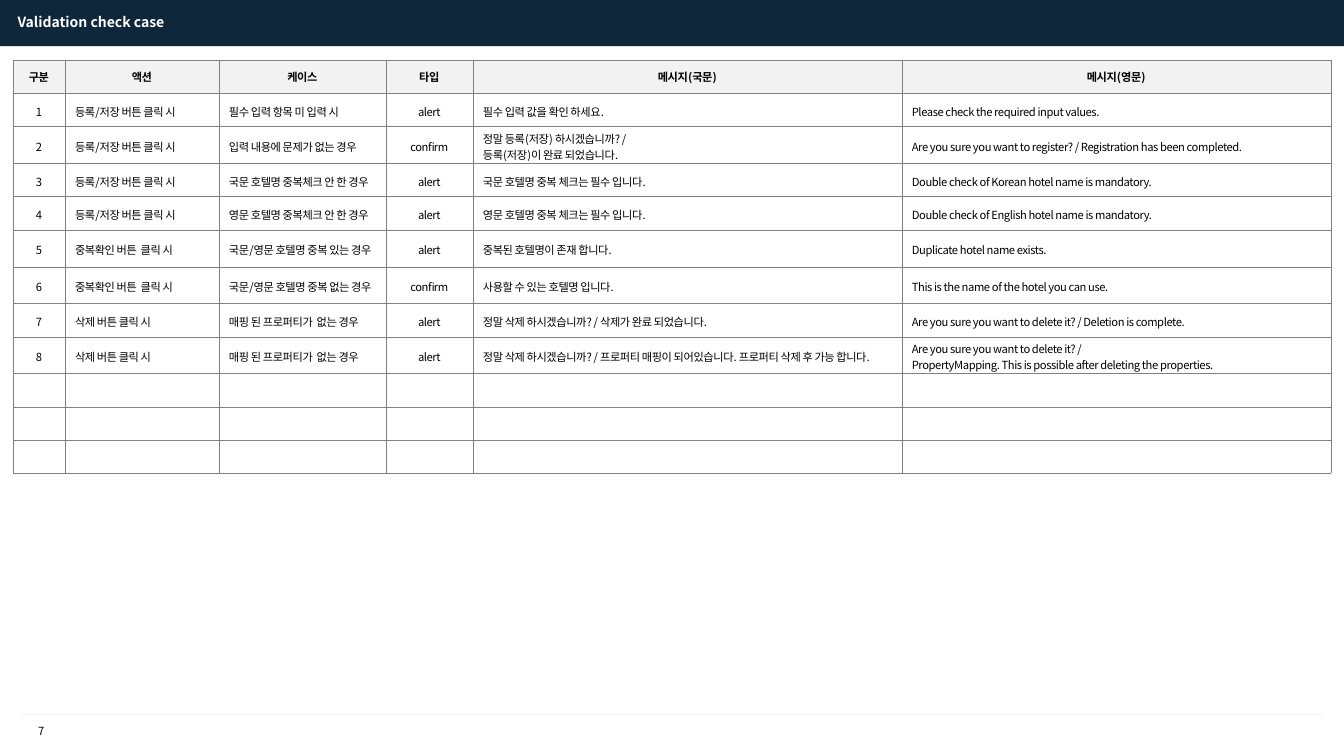
from dataclasses import dataclass
from lxml.etree import SubElement as Sub
from pptx import Presentation
from pptx.dml.color import RGBColor as RGB
from pptx.enum.shapes import MSO_CONNECTOR as Link, MSO_SHAPE as Shape
from pptx.enum.text import MSO_ANCHOR as Anchor, PP_ALIGN as Align
from pptx.oxml.ns import qn
from pptx.util import Pt


@dataclass
class Theme:
    font: str = "Noto Sans CJK KR"
    navy: str = "0E273B"
    black: str = "000000"
    white: str = "FFFFFF"
    pale: str = "F2F2F2"
    grid: str = "808080"
    body: int = 8
    head: int = 10


theme = Theme()
MID = Align.CENTER
LEFT = Align.LEFT


def style(frame, text, size=theme.body, color=theme.black, bold=False, align=LEFT, gap=0):
    """Fill a text frame; gap is letter spacing in hundredths of a point."""
    frame.text = text
    for para in frame.paragraphs:
        para.alignment = align
        font = para.font
        font.size, font.bold, font.name = Pt(size), bold, theme.font
        font.color.rgb = RGB.from_string(color)
        if gap:
            para._p.get_or_add_pPr().get_or_add_defRPr().set("spc", str(gap))


def label(left, top, width, height, text, side=7.2, wrap=True, **look):
    """Add a text box, centred vertically."""
    frame = slide.shapes.add_textbox(Pt(left), Pt(top), Pt(width), Pt(height)).text_frame
    frame.word_wrap = wrap
    frame.vertical_anchor = Anchor.MIDDLE
    frame.margin_left = frame.margin_right = Pt(side)
    frame.margin_top = frame.margin_bottom = Pt(2)
    style(frame, text, **look)


deck = Presentation()
deck.slide_width, deck.slide_height = Pt(960), Pt(540)
slide = deck.slides.add_slide(deck.slide_layouts[6])

# Header bar and footer
bar = slide.shapes.add_shape(Shape.RECTANGLE, 0, 0, Pt(960), Pt(33))
bar.shadow.inherit = False
bar.fill.solid()
bar.fill.fore_color.rgb = RGB.from_string(theme.navy)
bar.line.fill.background()

rule = slide.shapes.add_connector(Link.STRAIGHT, Pt(15), Pt(510.5), Pt(945), Pt(510.5))
rule.line.color.rgb = RGB.from_string(theme.pale)
rule.line.width = Pt(0.75)
Sub(rule._element.spPr, qn("a:effectLst"))

label(12.2, 513.3, 34.6, 17.3, "7", wrap=False, align=MID)
label(5.8, 5.8, 247.7, 19.4, "Validation check case", side=6.8,
      size=theme.head, color=theme.white, bold=True)

# Table of cases
save = "등록/저장 버튼 클릭 시"
check = "중복확인 버튼  클릭 시"
drop = "삭제 버튼 클릭 시"
free = "매핑 된 프로퍼티가  없는 경우"
rows = [
    ("구분", "액션", "케이스", "타입", "메시지(국문)", "메시지(영문)"),
    ("1", save, "필수 입력 항목 미 입력 시", "alert", "필수 입력 값을 확인 하세요.",
     "Please check the required input values."),
    ("2", save, "입력 내용에 문제가 없는 경우", "confirm",
     "정말 등록(저장) 하시겠습니까? /\n등록(저장)이 완료 되었습니다.",
     "Are you sure you want to register? / Registration has been completed."),
    ("3", save, "국문 호텔명 중복체크 안 한 경우", "alert", "국문 호텔명 중복 체크는 필수 입니다.",
     "Double check of Korean hotel name is mandatory."),
    ("4", save, "영문 호텔명 중복체크 안 한 경우", "alert", "영문 호텔명 중복 체크는 필수 입니다.",
     "Double check of English hotel name is mandatory."),
    ("5", check, "국문/영문 호텔명 중복 있는 경우", "alert", "중복된 호텔명이 존재 합니다.",
     "Duplicate hotel name exists."),
    ("6", check, "국문/영문 호텔명 중복 없는 경우", "confirm", "사용할 수 있는 호텔명 입니다.",
     "This is the name of the hotel you can use."),
    ("7", drop, free, "alert", "정말 삭제 하시겠습니까? / 삭제가 완료 되었습니다.",
     "Are you sure you want to delete it? / Deletion is complete."),
    ("8", drop, free, "alert",
     "정말 삭제 하시겠습니까? / 프로퍼티 매핑이 되어있습니다. 프로퍼티 삭제 후 가능 합니다.",
     "Are you sure you want to delete it? /\n"
     "PropertyMapping. This is possible after deleting the properties."),
] + [("",) * 6] * 3
widths = [37.1, 110, 119.3, 62.1, 306.4, 306.4]
tall = {2, 5, 6, 8}  # rows with two lines of text
low, high = 23.75, 26.3

table = slide.shapes.add_table(len(rows), len(widths), Pt(9.3), Pt(43),
                               Pt(sum(widths)), Pt(low * len(rows))).table
table.first_row = table.horz_banding = False
for col, width in zip(table.columns, widths):
    col.width = Pt(width)

for r, row in enumerate(rows):
    table.rows[r].height = Pt(high if r in tall else low)
    for c, text in enumerate(row):
        cell = table.cell(r, c)
        cell.vertical_anchor = Anchor.MIDDLE
        cell.margin_top = Pt(2 if r else 1)
        cell.margin_bottom = Pt(0 if r else 1)
        style(cell.text_frame, text, bold=r == 0, gap=-30,
              align=MID if r == 0 or c in (0, 3) else LEFT)
        props = cell._tc.get_or_add_tcPr()
        for side in ("lnL", "lnR", "lnT", "lnB"):
            edge = Sub(props, qn("a:" + side), w=str(Pt(0.25)))
            Sub(Sub(edge, qn("a:solidFill")), qn("a:srgbClr"), val=theme.grid)
        cell.fill.solid()
        cell.fill.fore_color.rgb = RGB.from_string(theme.white if r else theme.pale)

deck.save("out.pptx")
